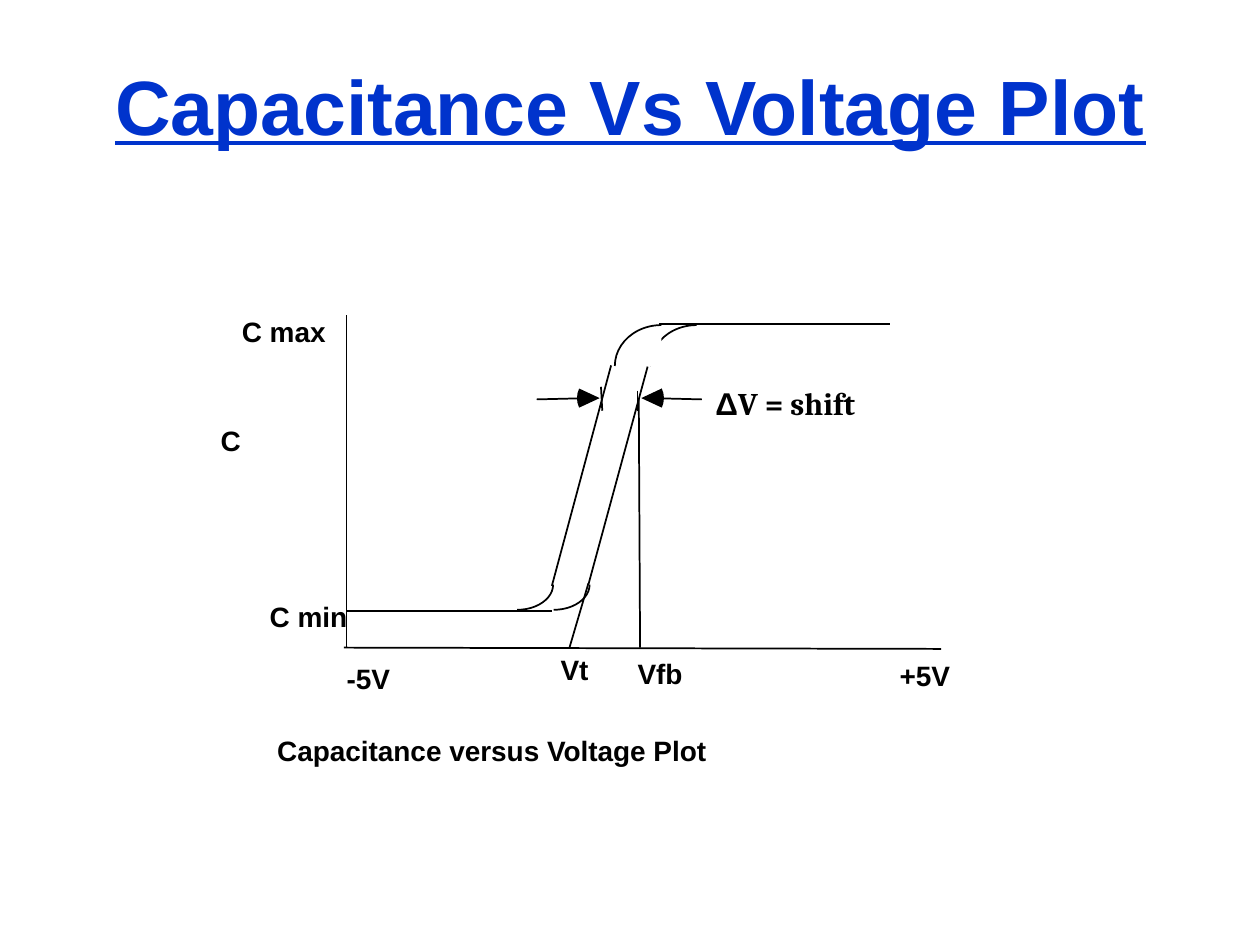
from lxml.etree import SubElement
from pptx import Presentation
from pptx.dml.color import RGBColor
from pptx.enum.shapes import MSO_CONNECTOR, MSO_SHAPE
from pptx.enum.text import MSO_ANCHOR, MSO_AUTO_SIZE, PP_ALIGN
from pptx.oxml.ns import qn
from pptx.util import Inches, Pt

COLORS = {"ink": "000000", "paper": "FFFFFF", "title": "0033CC"}
ADJUSTMENT_PER_DEGREE = 0.6


class PlotSlide:
    label_format = {"name": "Arial", "size": Pt(16), "bold": True}
    title_format = {"name": "Arial", "size": Pt(44), "bold": True, "underline": True}
    line_width = Pt(1)

    def __init__(self, deck):
        self.slide = deck.slides.add_slide(deck.slide_layouts[5])
        background = self.slide.background.fill
        background.solid()
        background.fore_color.rgb = self.color("paper")

    def color(self, key):
        return RGBColor.from_string(COLORS[key])

    def format_font(self, font, values, color="ink"):
        for attribute, value in values.items():
            setattr(font, attribute, value)
        font.color.rgb = self.color(color)

    def title(self, text, left, top, width, height):
        title = self.slide.shapes.title
        place = {"left": left, "top": top, "width": width, "height": height}
        for attribute, value in place.items():
            setattr(title, attribute, Inches(value))
        frame = title.text_frame
        frame.text = text
        frame.word_wrap = True
        frame.auto_size = MSO_AUTO_SIZE.NONE
        frame.vertical_anchor = MSO_ANCHOR.MIDDLE
        paragraph = frame.paragraphs[0]
        paragraph.alignment = PP_ALIGN.CENTER
        paragraph.line_spacing = 0.9
        self.format_font(paragraph.runs[0].font, self.title_format, "title")

    def line(self, x1, y1, x2, y2):
        line = self.slide.shapes.add_connector(
            MSO_CONNECTOR.STRAIGHT, *map(Inches, (x1, y1, x2, y2)))
        line.line.color.rgb = self.color("ink")
        line.line.width = self.line_width
        SubElement(line._element.spPr, qn("a:effectLst"))

    def arc(self, left, top, width, height, start, end, fill="paper", outlined=True):
        """Draw a filled sector whose angles run clockwise from the right."""
        arc = self.slide.shapes.add_shape(
            MSO_SHAPE.ARC, *map(Inches, (left, top, width, height)))
        for index, angle in enumerate((start, end)):
            arc.adjustments[index] = angle * ADJUSTMENT_PER_DEGREE
        arc.shadow.inherit = False
        arc.fill.solid()
        arc.fill.fore_color.rgb = self.color(fill)
        if outlined:
            arc.line.color.rgb = self.color("ink")
            arc.line.width = self.line_width
        else:
            arc.line.fill.background()

    def arrow_tip(self, tip_x, tip_y, direction, radius=0.18, spread=25):
        """Draw a solid arrow tip; direction is the angle of its rounded back."""
        self.arc(tip_x - radius, tip_y - radius, 2 * radius, 2 * radius,
                 (direction - spread) % 360, direction + spread, "ink", False)

    def text(self, runs, left, top, width, height, inset=(0, 0), wrap=False):
        """Add one paragraph from pairs of text and font changes."""
        box = self.slide.shapes.add_textbox(*map(Inches, (left, top, width, height)))
        frame = box.text_frame
        frame.word_wrap = wrap
        frame.auto_size = MSO_AUTO_SIZE.SHAPE_TO_FIT_TEXT
        frame.margin_left = frame.margin_right = Inches(inset[0])
        frame.margin_top = frame.margin_bottom = Inches(inset[1])
        for words, changes in runs:
            run = frame.paragraphs[0].add_run()
            run.text = words
            self.format_font(run.font, {**self.label_format, **changes})


def draw_curves(plot):
    # Shifted curve, then the axes, then the first curve on top.
    plot.line(2.75, 4.85, 4.38, 4.85)
    plot.arc(4.11, 4.44, 0.57, 0.4, 0, 90)
    plot.line(4.67, 4.64, 5.14, 2.91)
    plot.arc(5.16, 2.58, 0.74, 0.65, 180, 270)
    plot.line(5.52, 2.57, 7.06, 2.57)

    plot.line(2.73, 5.14, 7.47, 5.15)
    plot.line(2.75, 2.5, 2.75, 5.14)

    plot.arc(3.82, 4.44, 0.57, 0.4, 0, 90)
    plot.line(4.38, 4.65, 4.85, 2.9)
    plot.arc(4.88, 2.58, 0.74, 0.65, 180, 270)
    plot.line(5.23, 2.57, 6.77, 2.57)


def draw_shift(plot):
    arrow_y = 3.16
    for tip_x, shaft_start, shaft_end, back in (
            (4.76, 4.67, 4.26, 180), (5.09, 5.17, 5.57, 0)):
        plot.arrow_tip(tip_x, arrow_y, back)
        plot.line(shaft_start, arrow_y, shaft_end, arrow_y + 0.01)
    plot.line(4.77, 3.07, 4.78, 3.26)
    plot.line(5.06, 3.1, 5.06, 3.26)
    plot.line(4.67, 4.63, 4.52, 5.14)
    plot.line(5.07, arrow_y, 5.08, 5.14)
    plot.text([("Δ", {"size": Pt(18)}), ("V = shift", {"size": Pt(18), "name": "Cambria"})],
              5.58, 3, 1.75, 0.4, inset=(0.1, 0.05), wrap=True)


def main():
    deck = Presentation()
    deck.slide_width, deck.slide_height = Inches(10), Inches(7.5)
    plot = PlotSlide(deck)
    plot.title("Capacitance Vs Voltage Plot", 0.42, 0.25, 9.17, 1.25)
    draw_curves(plot)
    draw_shift(plot)
    for label, left, top, width in (
            ("C", 1.75, 3.36, 0.18),
            ("C max", 1.92, 2.5, 0.7),
            ("C min", 2.14, 4.76, 0.65),
            ("-5V", 2.75, 5.25, 0.38),
            ("+5V", 7.14, 5.23, 0.44),
            ("Vt", 4.45, 5.18, 0.26),
            ("Vfb", 5.06, 5.21, 0.39),
            ("Capacitance versus Voltage Plot", 2.2, 5.82, 3.46)):
        plot.text([(label, {})], left, top, width, 0.27)
    deck.save("out.pptx")


if __name__ == "__main__":
    main()
